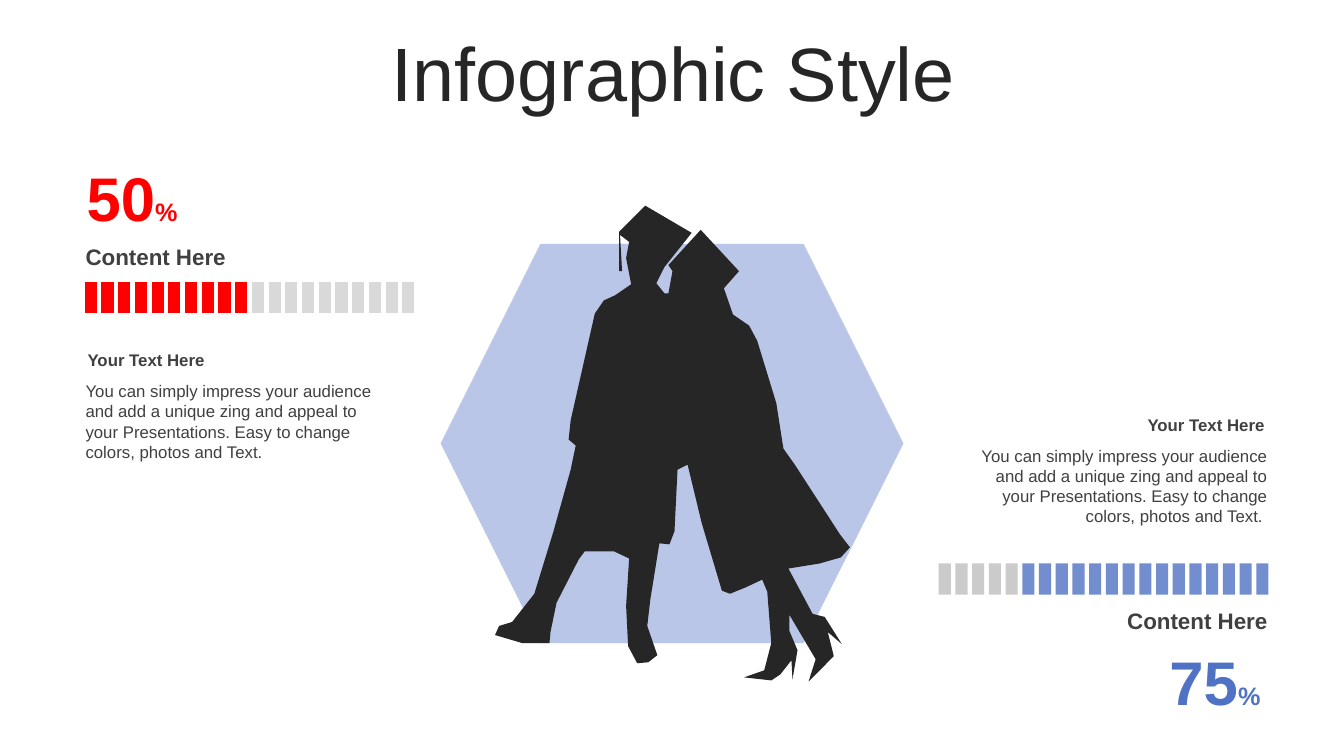
from dataclasses import dataclass

from lxml.etree import SubElement
from pptx import Presentation
from pptx.dml.color import RGBColor
from pptx.enum.shapes import MSO_SHAPE as Preset
from pptx.enum.text import MSO_ANCHOR as Anchor, MSO_AUTO_SIZE as AutoSize, PP_ALIGN as Align
from pptx.oxml.ns import qn
from pptx.util import Inches, Pt


@dataclass(frozen=True)
class Theme:
    font: str = "Arial"
    ink: str = "262626"
    body: str = "404040"
    red: str = "FF0000"
    blue: str = "5072C4"
    light_gray: str = "D9D9D9"
    gray: str = "BFBFBF"
    title_size: int = 54
    number_size: int = 44
    percent_size: int = 18
    heading_size: int = 16
    text_size: int = 12


theme = Theme()


def paint(shape, color, opacity=100):
    shape.shadow.inherit = False
    shape.line.fill.background()
    shape.fill.solid()
    shape.fill.fore_color.rgb = RGBColor.from_string(color)
    if opacity < 100:
        tint = shape._element.spPr.find(qn("a:solidFill"))[0]
        SubElement(tint, qn("a:alpha"), val=str(opacity * 1000))


def add_text(box, runs, color, align, bold=False, anchor=Anchor.TOP, wrap=True,
             fit=AutoSize.SHAPE_TO_FIT_TEXT):
    frame = slide.shapes.add_textbox(*[Inches(length) for length in box]).text_frame
    frame.word_wrap = wrap
    frame.auto_size = fit
    frame.vertical_anchor = anchor
    paragraph = frame.paragraphs[0]
    paragraph.alignment = align
    for words, size in runs:
        run = paragraph.add_run()
        run.text = words
        run.font.name = theme.font
        run.font.size = Pt(size)
        run.font.bold = bold
        run.font.color.rgb = RGBColor.from_string(color)
    return paragraph


deck = Presentation()
deck.slide_width = Inches(13.33)
deck.slide_height = Inches(7.5)
slide = deck.slides.add_slide(deck.slide_layouts[6])

hexagon = slide.shapes.add_shape(
    Preset.HEXAGON, Inches(4.37), Inches(2.42), Inches(4.59), Inches(3.96))
paint(hexagon, theme.blue, 40)

title = add_text((0.35, 0.37, 12.66, 0.79), [("Infographic Style", theme.title_size)],
                 theme.ink, Align.CENTER, anchor=Anchor.MIDDLE, fit=AutoSize.NONE)
title.line_spacing = 0.9

graduates_outline = [
    (843, 543), (834, 553), (813, 559), (782, 564), (806, 609), (818, 612),
    (835, 639), (821, 627), (827, 651), (802, 676), (809, 654), (783, 610),
    (783, 626), (791, 645), (786, 674), (785, 655), (774, 669), (765, 675),
    (738, 672), (758, 665), (765, 638), (761, 587), (756, 575), (739, 583),
    (724, 589), (716, 586), (696, 519), (682, 461), (672, 466), (669, 527),
    (664, 540), (654, 539), (645, 595), (642, 621), (652, 650), (643, 657),
    (632, 658), (623, 641), (621, 601), (624, 554), (609, 547), (580, 547),
    (574, 555), (552, 598), (546, 627), (545, 638), (518, 638), (491, 630),
    (495, 621), (508, 617), (530, 589), (549, 527), (566, 466), (571, 442),
    (564, 436), (566, 417), (590, 311), (599, 298), (610, 293), (626, 282),
    (621, 256), (624, 240), (615, 233), (617, 269), (614, 269), (614, 230),
    (640, 204), (686, 231), (659, 265), (651, 281), (659, 291), (663, 291),
    (667, 269), (663, 263), (695, 228), (733, 269), (718, 286), (727, 312),
    (743, 323), (751, 338), (770, 400), (777, 445), (789, 462), (833, 530),
]
outline = slide.shapes.build_freeform(*graduates_outline[0], scale=Inches(0.01))
outline.add_line_segments(graduates_outline[1:], close=True)
paint(outline.convert_to_shape(), theme.ink)

bar_count = 20
bar_pitch = 3.15 / (bar_count - 1)
sides = [
    dict(align=Align.RIGHT, number="75", accent=theme.blue, opacity=80,
         heading=(11.06, 5.97, 1.61, 0.37), percentage=(11.49, 6.33, 1.11, 0.84),
         body=(9.52, 4.37, 3.15, 0.91), subhead=(9.52, 4.07, 3.12, 0.3),
         bars=(9.31, 5.59), colors=[theme.gray] * 5 + [theme.blue] * 15, ending=" "),
    dict(align=Align.LEFT, number="50", accent=theme.red, opacity=100,
         heading=(0.75, 2.36, 1.61, 0.37), percentage=(0.75, 1.53, 1.11, 0.84),
         body=(0.75, 3.73, 3.15, 0.91), subhead=(0.77, 3.42, 3.12, 0.3),
         bars=(0.84, 2.8), colors=[theme.red] * 10 + [theme.light_gray] * 10, ending=""),
]
message = ("You can simply impress your audience and add a unique zing and appeal "
           "to your Presentations. Easy to change colors, photos and Text.")

for side in sides:
    add_text(side["heading"], [("Content Here", theme.heading_size)], theme.body,
             side["align"], bold=True, anchor=Anchor.MIDDLE, wrap=False)
    bars_left, bars_top = side["bars"]
    meter = slide.shapes.add_group_shape()
    for index, color in enumerate(side["colors"]):
        bar = meter.shapes.add_shape(
            Preset.FLOWCHART_PROCESS, Inches(bars_left + index * bar_pitch),
            Inches(bars_top), Inches(0.12), Inches(0.31))
        paint(bar, color, side["opacity"])
    add_text(side["percentage"],
             [(side["number"], theme.number_size), ("%", theme.percent_size)],
             side["accent"], Align.RIGHT, bold=True, anchor=Anchor.MIDDLE, wrap=False)
    add_text(side["body"], [(message + side["ending"], theme.text_size)],
             theme.body, side["align"])
    add_text(side["subhead"], [("Your Text Here", theme.text_size)],
             theme.body, side["align"], bold=True)

deck.save("out.pptx")
